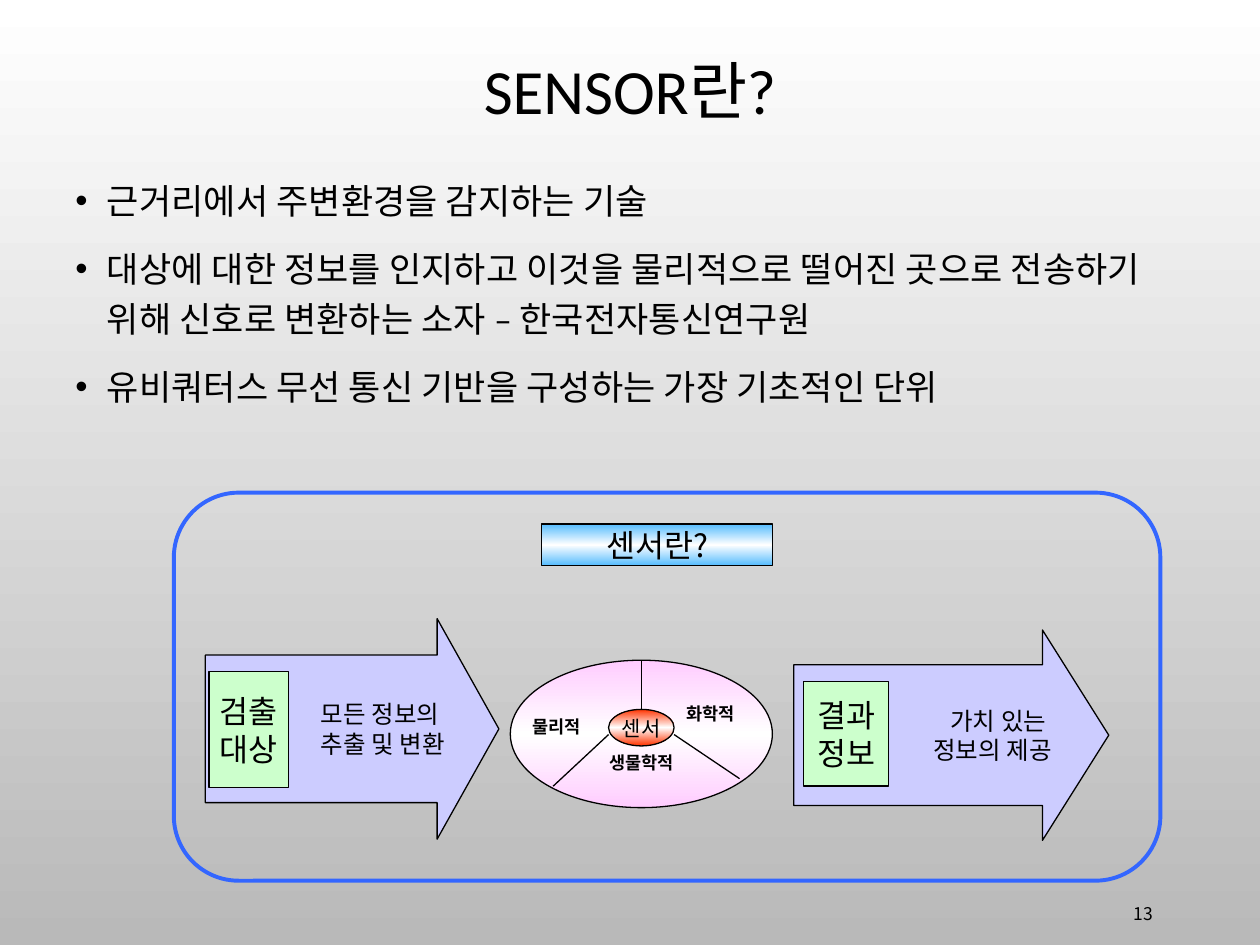
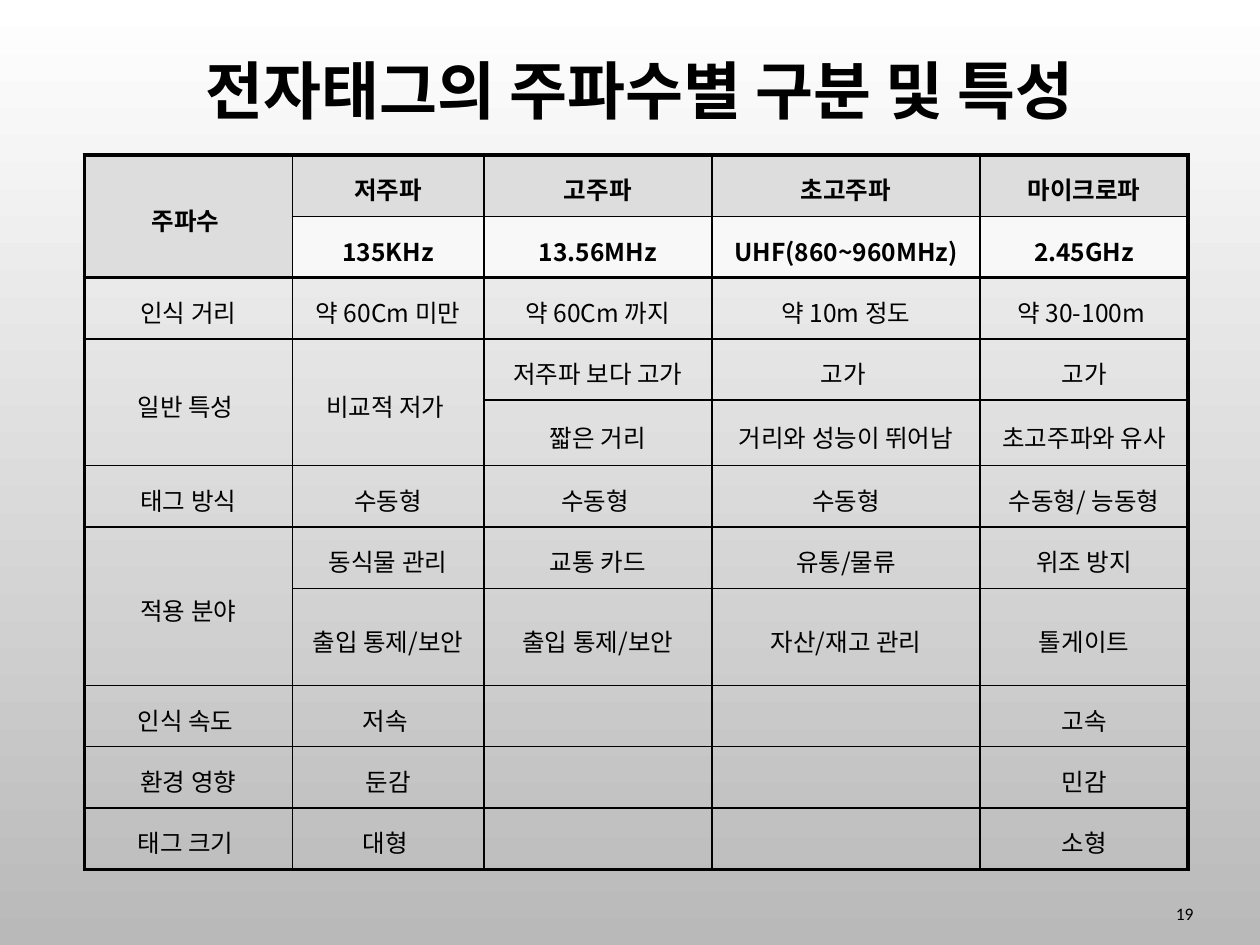
from copy import deepcopy

from lxml import etree
from pptx import Presentation
from pptx.dml.color import RGBColor
from pptx.enum import shapes as es, text as et
from pptx.oxml.ns import qn
from pptx.util import Inches, Pt

BLACK, LILAC, MINT, BLUE = "000000", "CCCCFF", "CCFFCC", "3366FF"
SKY = ["56BCFE", "FFFFFF", "56BCFE"]
PINK = ["FFCCFF", "FFFFFF", "FFCCFF"]
RED = ["FF3300", "FFFFFF", "FF3300"]
PAGE = ["FFFFFF", "B9B9B9"]
HEAD, SUBHEAD = "DDDDDD", "F8F8F8"
LATIN, NOTO, ARIAL = "Calibri", "Noto Sans CJK KR", "Arial"
KIND, ALIGN = es.MSO_SHAPE, et.PP_ALIGN
MIDDLE = et.MSO_ANCHOR.MIDDLE
THIN, THICK = 1, 2.25

BULLETS = [
    "근거리에서 주변환경을 감지하는 기술",
    "대상에 대한 정보를 인지하고 이것을 물리적으로 떨어진 곳으로 전송하기 "
    "위해 신호로 변환하는 소자 – 한국전자통신연구원",
    "유비쿼터스 무선 통신 기반을 구성하는 가장 기초적인 단위",
]
COLS = [1.65, 1.52, 1.81, 2.13, 1.65]
TALL = {4: 0.52, 7: 0.77}
MERGED = [(0, 0), (3, 0), (3, 1), (6, 0)]
BANDS = [
    ["주파수 ", "저주파", "고주파", "초고주파", "마이크로파"],
    ["", "135KHz", "13.56MHz", "UHF(860~960MHz)", "2.45GHz"],
    ["인식 거리", "약 60Cm 미만", "약 60Cm 까지", "약 10m 정도", "약 30-100m "],
    ["일반 특성 ", "비교적 저가 ", "저주파 보다 고가", "고가 ", "고가"],
    ["", "", "짧은 거리", "거리와 성능이 뛰어남", "초고주파와 유사"],
    ["태그 방식", "수동형", "수동형 ", "수동형", "수동형/ 능동형"],
    ["적용 분야", "동식물 관리", "교통 카드", "유통/물류", "위조 방지"],
    ["", "출입 통제/보안", "출입 통제/보안", "자산/재고 관리", "톨게이트"],
    ["인식 속도 ", "저속 ", "", "", "고속"],
    ["환경 영향", "둔감", "", "", "민감"],
    ["태그 크기 ", "대형 ", "", "", "소형"],
]


def rgb(code):
    return RGBColor.from_string(code)


def box(x, y, w, h):
    return Inches(x), Inches(y), Inches(w), Inches(h)


def shade(fill, root, codes):
    """Fill from top to bottom with evenly spaced colours."""
    fill.gradient()
    fill.gradient_angle = 270
    stops = root.find(".//" + qn("a:gsLst"))
    while len(stops) < len(codes):
        stops.append(deepcopy(stops[0]))
    for i, (stop, code) in enumerate(zip(fill.gradient_stops, codes)):
        stop.color.rgb = rgb(code)
        stop.position = i / (len(codes) - 1)


def write(frame, lines, size, font=LATIN, bold=False, align=ALIGN.CENTER, space=None):
    for i, line in enumerate(lines):
        para = frame.paragraphs[0] if i == 0 else frame.add_paragraph()
        para.alignment = align
        para.line_spacing = space
        run = para.add_run()
        run.text = line
        run.font.size, run.font.bold, run.font.name = Pt(size), bold, font
        run.font.color.rgb = rgb(BLACK)
        asian = etree.Element(qn("a:ea"), typeface=font)
        run.font._element.find(qn("a:latin")).addnext(asian)


def label(shapes, place, lines, size, **style):
    frame = shapes.add_textbox(*box(*place)).text_frame
    frame.word_wrap = True
    write(frame, lines, size, **style)
    return frame


def draw(shapes, kind, place, fill=None, line=BLACK, width=0.75, adjust=()):
    shape = shapes.add_shape(kind, *box(*place))
    shape.shadow.inherit = False
    for i, value in enumerate(adjust):
        shape.adjustments[i] = value
    if fill is None:
        shape.fill.background()
    elif isinstance(fill, list):
        shade(shape.fill, shape.element, fill)
    else:
        shape.fill.solid()
        shape.fill.fore_color.rgb = rgb(fill)
    shape.line.color.rgb = rgb(line)
    shape.line.width = Pt(width)
    return shape


def caption(shape, lines, size, **style):
    frame = shape.text_frame
    frame.word_wrap = False
    frame.vertical_anchor = MIDDLE
    write(frame, lines, size, **style)


def rule(shapes, x1, y1, x2, y2):
    line = shapes.add_connector(es.MSO_CONNECTOR.STRAIGHT, *box(x1, y1, x2, y2))
    line.line.color.rgb = rgb(BLACK)
    line.line.width = Pt(0.75)
    etree.SubElement(line.element.spPr, qn("a:effectLst"))


def start(deck, title, x, w, number, right, font, bold=False):
    """Add a slide with its title and page number."""
    slide = deck.slides.add_slide(deck.slide_layouts[5])
    head = slide.shapes.title
    head.left, head.top, head.width, head.height = box(x, 0.12, w, 1.25)
    head.text_frame.vertical_anchor = MIDDLE
    write(head.text_frame, [title], 36, bold=bold, space=0.9)
    foot = label(slide.shapes, (right - 0.63, 7.05, 0.63, 0.4), [number], 10,
                 font=font, align=ALIGN.RIGHT)
    foot.vertical_anchor = MIDDLE
    return slide


def points(shapes, x, y, w, h):
    frame = label(shapes, (x, y, w, h), BULLETS, 20, align=ALIGN.LEFT, space=1.2)
    for i, para in enumerate(frame.paragraphs):
        para.space_before = Pt(10 if i else 0)
        props = para._p.get_or_add_pPr()
        props.set("marL", str(Inches(0.25)))
        props.set("indent", str(-Inches(0.25)))
        etree.SubElement(props, qn("a:buFont"), typeface="Arial")
        etree.SubElement(props, qn("a:buChar"), char="•")


def arrow(shapes, place, head, lines):
    shape = draw(shapes, KIND.RIGHT_ARROW, place, LILAC, adjust=(0.669, head))
    caption(shape, lines, 14, align=ALIGN.RIGHT)


def tile(shapes, place, lines):
    caption(draw(shapes, KIND.RECTANGLE, place, MINT), lines, 18, font=ARIAL)


def sensor(shapes, x, y):
    """Oval of three sensing fields around a core."""
    parts = shapes.add_group_shape().shapes
    draw(parts, KIND.OVAL, (x, y, 2.08, 1.17), PINK)
    core = draw(parts, KIND.OVAL, (x + 0.78, y + 0.39, 0.52, 0.29), RED)
    caption(core, ["센서"], 12, font=NOTO)
    for x1, y1, x2, y2 in [(1.04, 0, 1.04, 0.39), (0.78, 0.59, 0.34, 1),
                           (1.3, 0.59, 1.82, 0.94)]:
        rule(parts, x + x1, y + y1, x + x2, y + y2)
    for dx, dy, w, name in [(0.08, 0.39, 0.69, "물리적"), (1.3, 0.29, 0.69, "화학적"),
                            (0.69, 0.68, 0.87, "생물학적")]:
        label(parts, (x + dx, y + dy, w, 0.27), [name], 10, font=NOTO,
              bold=True, align=ALIGN.LEFT)


def flow(shapes, x, y, w, h):
    """Framed diagram from target through sensor to result."""
    arrow(shapes, (x + 4.92, y + 1.09, 2.5, 1.67), 0.315, ["가치 있는 ", "정보의 제공"])
    arrow(shapes, (x + 0.25, y + 1, 2.33, 1.75), 0.28, ["모든 정보의 ", "추출 및 변환"])
    sign = draw(shapes, KIND.RECTANGLE, (x + 2.92, y + 0.25, 1.83, 0.33), SKY)
    caption(sign, ["센서란?"], 18, font=NOTO)
    sensor(shapes, x + 2.67, y + 1.33)
    tile(shapes, (x + 5, y + 1.5, 0.67, 0.83), ["결과", "정보"])
    tile(shapes, (x + 0.28, y + 1.42, 0.63, 0.92), ["검출", "대상"])
    draw(shapes, KIND.ROUNDED_RECTANGLE, (x, y, w, h), None, BLUE, 2.25, (0.167,))


def edge(cell, side, width):
    line = etree.SubElement(cell._tc.get_or_add_tcPr(), qn("a:ln" + side),
                            w=str(Pt(width)))
    fill = etree.SubElement(line, qn("a:solidFill"))
    etree.SubElement(fill, qn("a:srgbClr"), val=BLACK)


def frame_cell(cell, row, col):
    """Thick lines go round the table and below its two heading rows."""
    last = row + cell.span_height - 1
    sides = {
        "L": col == 0,
        "R": col == len(COLS) - 1,
        "T": row in (0, 2),
        "B": last in (1, len(BANDS) - 1),
    }
    if cell.is_spanned:
        del sides["T"]
    for side, heavy in sides.items():
        edge(cell, side, THICK if heavy else THIN)


def bands(shapes, x, y, w, h):
    table = shapes.add_table(len(BANDS), len(COLS), *box(x, y, w, h)).table
    table.first_row = table.horz_banding = False
    base = (h - sum(TALL.values())) / (len(BANDS) - len(TALL))
    for col, width in zip(table.columns, COLS):
        col.width = Inches(width)
    for i, row in enumerate(table.rows):
        row.height = Inches(TALL.get(i, base))
    for r, c in MERGED:
        table.cell(r, c).merge(table.cell(r + 1, c))
    for r, line in enumerate(BANDS):
        for c, words in enumerate(line):
            cell = table.cell(r, c)
            frame_cell(cell, r, c)
            cell.vertical_anchor = MIDDLE
            if r < 2:
                cell.fill.solid()
                cell.fill.fore_color.rgb = rgb(SUBHEAD if r else HEAD)
            else:
                cell.fill.background()
            if words:
                write(cell.text_frame, [words], 14, font=NOTO, bold=r < 2, space=1.2)


def main():
    deck = Presentation()
    deck.slide_width, deck.slide_height = Inches(10), Inches(7.5)
    master = deck.slide_master
    shade(master.background.fill, master.element, PAGE)

    slide = start(deck, "SENSOR란?", 1.75, 6.5, "13", 9.25, NOTO)
    points(slide.shapes, 0.5, 1.31, 9, 2.2)
    flow(slide.shapes, 1.38, 3.91, 7.83, 3.08)

    slide = start(deck, "전자태그의 주파수별 구분 및 특성", 0.35, 9.45, "19", 9.57,
                  LATIN, bold=True)
    bands(slide.shapes, 0.67, 1.23, sum(COLS), 5.67)
    deck.save("out.pptx")


if __name__ == "__main__":
    main()
